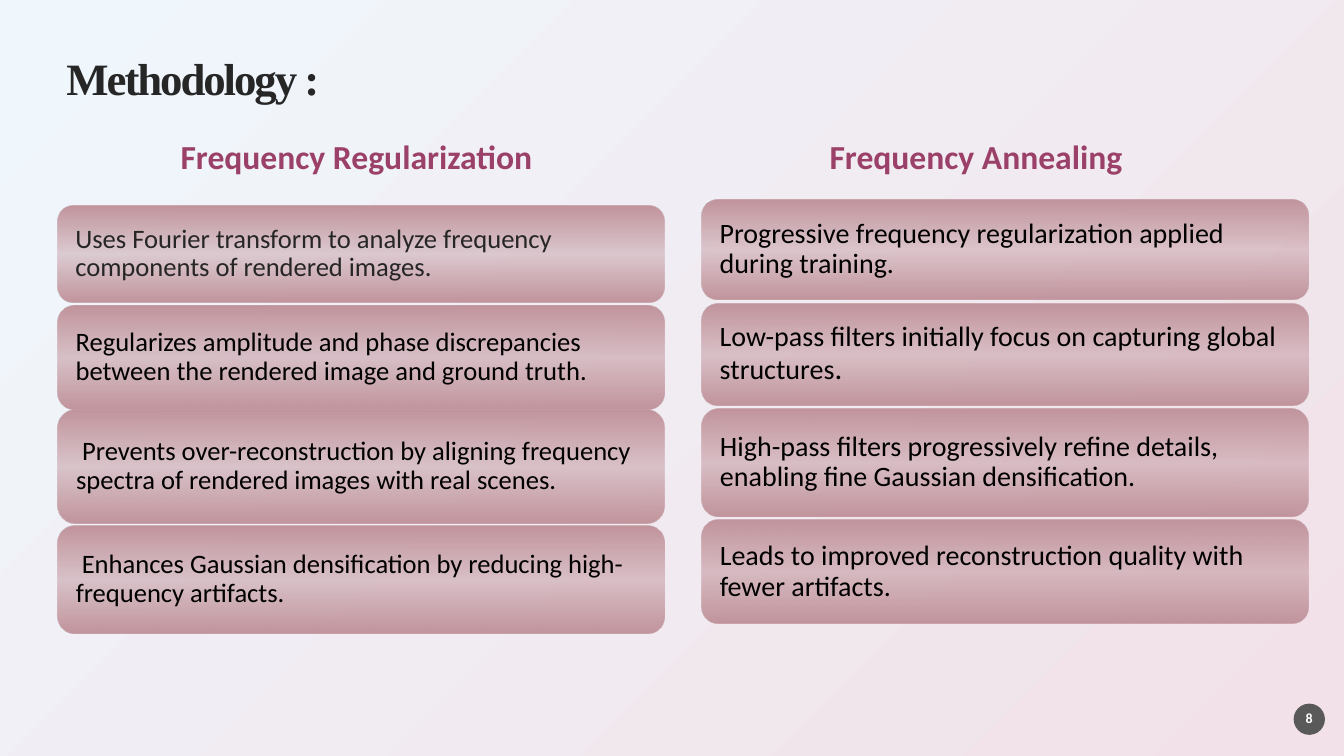
from copy import deepcopy
from dataclasses import dataclass

from lxml import etree
from pptx import Presentation
from pptx import util as u
from pptx.dml.color import RGBColor
from pptx.enum import shapes, text
from pptx.oxml import ns


@dataclass(frozen=True)
class Theme:
    """Colours, fonts and type sizes of the slide."""
    sky: str = "EFF7FC"
    blush: str = "F2E1E8"
    rose: str = "C2959D"
    plum: str = "9B4169"
    ink: str = "262626"
    black: str = "000000"
    white: str = "FFFFFF"
    grey: str = "595959"
    body_font: str = "Calibri"
    title_font: str = "Times New Roman"
    title_size: int = 32
    heading_size: int = 24
    stop_size: int = 22
    right_size: int = 20
    left_size: int = 19
    number_size: int = 10


THEME = Theme()
WIDTH, HEIGHT = u.Inches(13.33), u.Inches(7.5)
CARD_WIDTH = 45.16
CARD_INSET = 0.13
REGULARIZATION = [
    (27.2, 12.8, 43, THEME.ink,
     "Uses Fourier transform to analyze frequency components of rendered images."),
    (40.4, 13.73, 53, THEME.black,
     "Regularizes amplitude and phase discrepancies between the rendered image and ground truth."),
    (54.13, 15.07, 49, THEME.black,
     " Prevents over-reconstruction by aligning frequency spectra of rendered images with real scenes."),
    (69.6, 14.13, 50, THEME.black,
     " Enhances Gaussian densification by reducing high- frequency artifacts."),
]
ANNEALING = [
    (26.4, 13.2, 44, THEME.black,
     "Progressive frequency regularization applied during training."),
    (40.13, 13.47, 50, THEME.black,
     "Low-pass filters initially focus on capturing global structures"),
    (54, 14.27, 51, THEME.black,
     "High-pass filters progressively refine details, enabling fine Gaussian densification."),
    (68.8, 13.73, 55, THEME.black,
     "Leads to improved reconstruction quality with fewer artifacts."),
]


def place(left, top, width, height):
    """Turn percentages of the slide into lengths."""
    return [round(share * side / 100) for share, side in
            ((left, WIDTH), (top, HEIGHT), (width, WIDTH), (height, HEIGHT))]


def style_run(run, size, colour, bold=False, font=THEME.body_font):
    """Format one run."""
    run.font.name, run.font.size, run.font.bold = font, u.Pt(size), bold
    run.font.color.rgb = RGBColor.from_string(colour)


def write(shape, words, size, colour, bold=False, font=THEME.body_font,
          centred=False, middle=True, inset=0):
    """Set a single paragraph in a shape and return it."""
    frame = shape.text_frame
    frame.text = words
    frame.word_wrap = True
    frame.vertical_anchor = text.MSO_ANCHOR.MIDDLE if middle else text.MSO_ANCHOR.TOP
    frame.margin_left = frame.margin_right = u.Inches(inset)
    frame.margin_top = frame.margin_bottom = u.Inches(inset)
    line = frame.paragraphs[0]
    line.line_spacing = 0.9
    line.alignment = text.PP_ALIGN.CENTER if centred else text.PP_ALIGN.LEFT
    style_run(line.runs[0], size, colour, bold, font)
    return line


def paint_background(slide):
    """Spread a gradient from the top left corner."""
    fill = slide.background.fill
    fill.gradient()
    for stop, colour in zip(fill.gradient_stops, (THEME.sky, THEME.blush)):
        stop.color.rgb = RGBColor.from_string(colour)
    gradient = slide.background._cSld.find(".//" + ns.qn("a:gradFill"))
    gradient.remove(gradient.find(ns.qn("a:lin")))
    path = etree.SubElement(gradient, ns.qn("a:path"), {"path": "circle"})
    etree.SubElement(path, ns.qn("a:fillToRect"), {"r": "100000", "b": "100000"})


def paint_sheen(shape, opacity):
    """Fill a shape with rose that thins out halfway down."""
    fill = shape.fill
    fill.gradient()
    fill.gradient_angle = 270
    stops = shape._element.spPr.find(".//" + ns.qn("a:gsLst"))
    stops.append(deepcopy(stops[-1]))
    for stop, position in zip(fill.gradient_stops, (0, 0.5, 1)):
        stop.position = position
        stop.color.rgb = RGBColor.from_string(THEME.rose)
    etree.SubElement(stops[1][0], ns.qn("a:alpha"), {"val": str(opacity * 1000)})


def add_outline_free(slide, preset, box):
    """Add a preset shape without line or shadow."""
    shape = slide.shapes.add_shape(preset, *place(*box))
    shape.shadow.inherit = False
    shape.line.fill.background()
    return shape


def add_title(slide, words):
    """Add the slide title with tightened letters."""
    title = slide.shapes.add_textbox(*place(4.95, 6.27, 90.1, 8.93))
    line = write(title, words, THEME.title_size, THEME.ink, True, THEME.title_font)
    line.runs[0].font._element.set("spc", "-150")


def add_heading(slide, words, left, width):
    """Add the heading over a column of cards."""
    heading = slide.shapes.add_textbox(*place(left, 18.53, width, 5.2))
    write(heading, words, THEME.heading_size, THEME.plum, True, centred=True, middle=False)


def add_cards(slide, left, size, cards):
    """Add a column of cards and return their paragraphs."""
    lines = []
    for top, height, opacity, colour, words in cards:
        card = add_outline_free(slide, shapes.MSO_SHAPE.ROUNDED_RECTANGLE,
                                (left, top, CARD_WIDTH, height))
        paint_sheen(card, opacity)
        lines.append(write(card, words, size, colour, inset=CARD_INSET))
    return lines


def add_page_number(slide, number):
    """Add the round page number."""
    badge = add_outline_free(slide, shapes.MSO_SHAPE.OVAL, (96.25, 93.07, 2.33, 4.13))
    badge.fill.solid()
    badge.fill.fore_color.rgb = RGBColor.from_string(THEME.grey)
    write(badge, number, THEME.number_size, THEME.white, True, centred=True)


def main():
    """Build and save the slide."""
    deck = Presentation()
    deck.slide_width, deck.slide_height = WIDTH, HEIGHT
    slide = deck.slides.add_slide(deck.slide_layouts[6])
    paint_background(slide)
    add_title(slide, "Methodology :")
    add_heading(slide, "Frequency Regularization", 4.28, 44.49)
    add_cards(slide, 4.28, THEME.left_size, REGULARIZATION)
    add_heading(slide, "Frequency Annealing", 50.04, CARD_WIDTH)
    annealing_lines = add_cards(slide, 52.21, THEME.right_size, ANNEALING)
    full_stop = annealing_lines[1].add_run()
    full_stop.text = "."
    style_run(full_stop, THEME.stop_size, THEME.black)
    add_page_number(slide, "8")
    deck.save("out.pptx")


if __name__ == "__main__":
    main()
